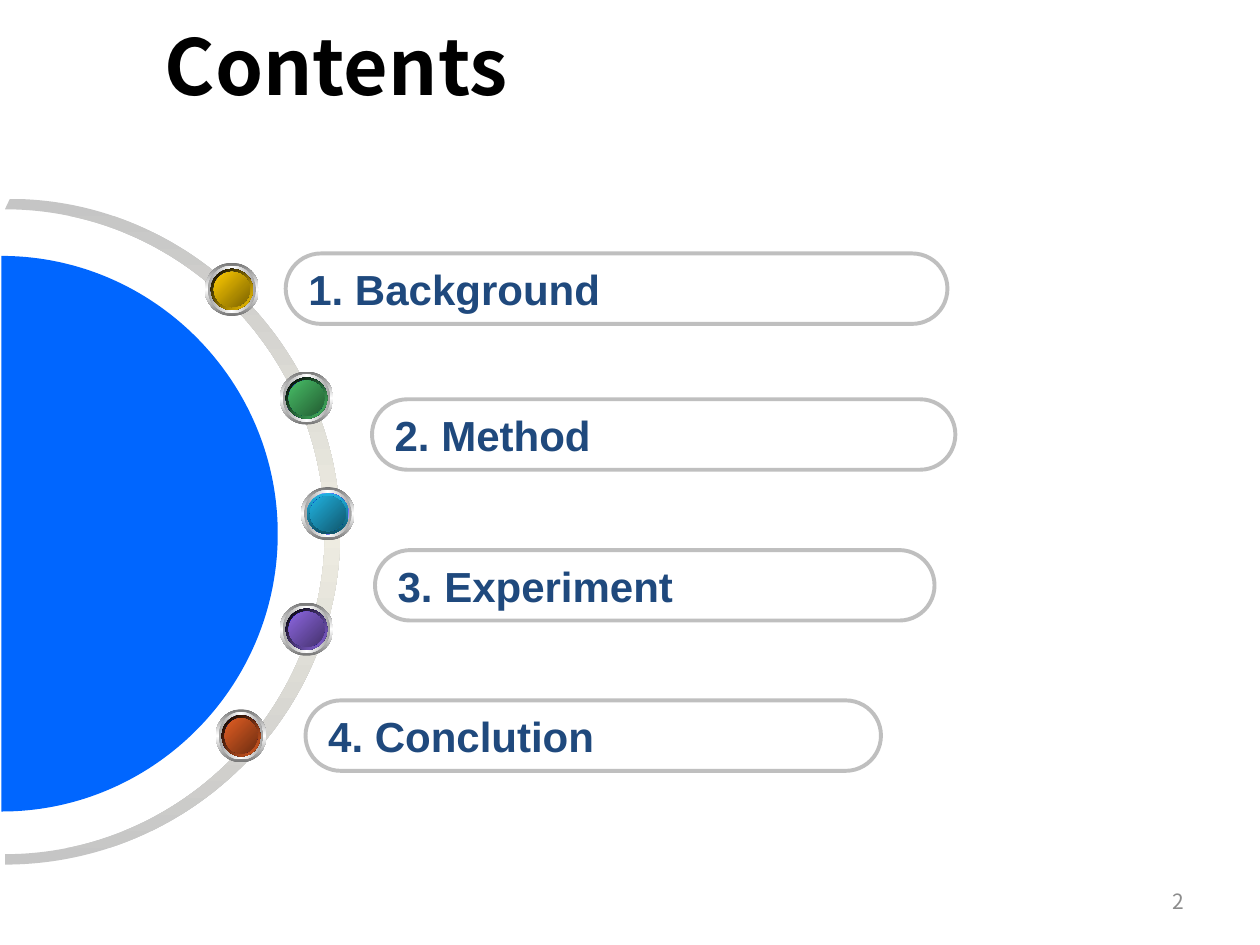
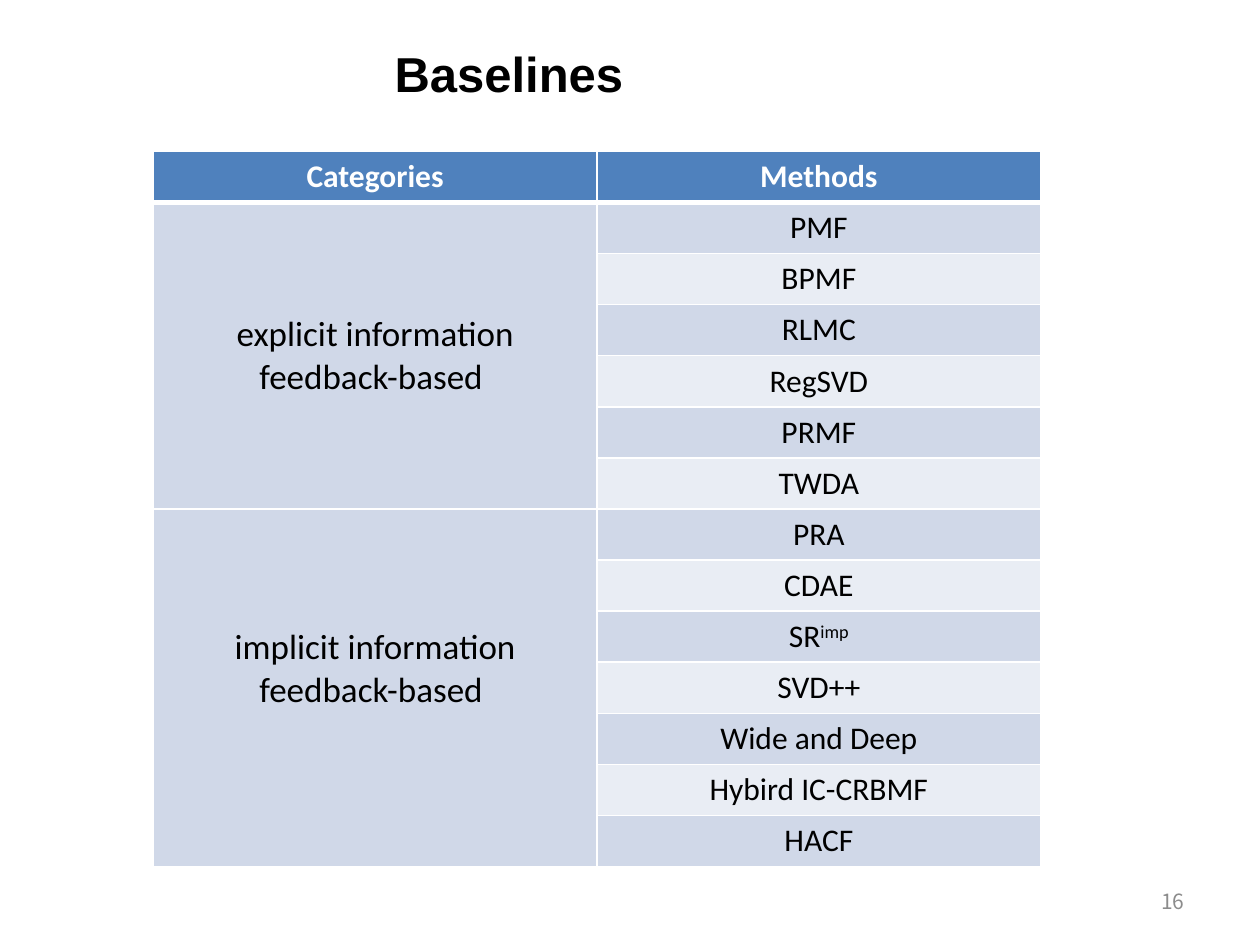
from lxml.etree import Element, SubElement
from pptx import Presentation
from pptx.dml.color import RGBColor
from pptx.enum.shapes import MSO_SHAPE as Kind
from pptx.enum.text import MSO_ANCHOR as Anchor, MSO_AUTO_SIZE as Fit, PP_ALIGN as Align
from pptx.oxml.ns import qn
from pptx.util import Cm, Pt

NOTO = "Noto Sans CJK SC"
BLACK, WHITE = "000000", "FFFFFF"
BLUE, NAVY, GREY = "0066FF", "1F497D", "BFBFBF"
HEAD, DARK, PALE = "4F81BD", "D0D8E8", "E9EDF4"
BEND = 0.55

MAIN = {"name": NOTO, "size": Pt(44), "bold": True, "color": BLACK}
SUB = {"name": "Arial", "size": Pt(28), "bold": True, "color": BLACK}
ITEM = {"name": "Arial", "size": Pt(24), "bold": True, "color": NAVY}
PAGE = {"name": NOTO, "size": Pt(12), "color": "8C8C8C"}
CELL = {"name": "Calibri", "size": Pt(18), "bold": False, "color": BLACK}
TOP = {**CELL, "bold": True, "color": WHITE}
GROUP = {**CELL, "size": Pt(20)}

BALLS = [
    (4.13, 5.3, 1.09, "FFCC00", "7C6300", (BLACK, "FFCC00"), 45),
    (5.64, 7.49, 1.08, "48BE67", "235C32", (BLACK, "48BE67"), 45),
    (6.07, 9.82, 1.08, "21B3E1", "10576D", ("21B3E1", "0F5368"), 90),
    (5.64, 12.15, 1.08, "8D67E1", "45326D", (BLACK, "8D67E1"), 45),
    (4.35, 14.3, 1.02, "E35E23", "6E2E11", (BLACK, "E35E23"), 45),
]
ITEMS = [
    ("1. Background", 5.76, 5.11, 13.34),
    ("2. Method", 7.5, 8.05, 11.76),
    ("3. Experiment", 7.56, 11.09, 11.28),
    ("4. Conclution", 6.16, 14.12, 11.6),
]
BASES = [
    ("explicit information feedback-based ", 0.13,
     ["PMF", "BPMF", "RLMC", "RegSVD", "PRMF", "TWDA"]),
    ("implicit information feedback-based ", 0.89,
     ["PRA", "CDAE", "SR^imp", "SVD++", "Wide and Deep", "Hybird IC-CRBMF", "HACF"]),
]


def paint(color, code):
    color.rgb = RGBColor.from_string(code)


def style(font, look):
    for key, val in look.items():
        if key == "color":
            paint(font.color, val)
        else:
            setattr(font, key, val)


def write(frame, text, look, align=Align.LEFT):
    para = frame.paragraphs[0]
    para.alignment = align
    base, _, power = text.partition("^")
    for part, lift in ((base, None), (power, "30000")):
        if part:
            run = para.add_run()
            run.text = part
            style(run.font, look)
            if lift:
                run.font._element.set("baseline", lift)


def setup(frame):
    form = {"word_wrap": True, "auto_size": Fit.NONE, "vertical_anchor": Anchor.MIDDLE}
    for key, val in form.items():
        setattr(frame, key, val)
    return frame


def place(shape, *box):
    for key, val in zip(("left", "top", "width", "height"), box):
        setattr(shape, key, Cm(val))


def start(deck, title, look, box, page):
    slide = deck.slides.add_slide(deck.slide_layouts[5])
    head = slide.shapes.title
    place(head, *box)
    write(setup(head.text_frame), title, look)
    foot = slide.shapes.add_textbox(*map(Cm, (18.21, 17.65, 5.92, 1.02)))
    write(setup(foot.text_frame), page, PAGE, Align.RIGHT)
    return slide


def clean(shape):
    shape.shadow.inherit = False
    shape.line.fill.background()


def blend(shape, codes, angle):
    shape.fill.gradient()
    grad = shape._element.spPr.find(qn("a:gradFill"))
    stops = grad.find(qn("a:gsLst"))
    for stop in list(stops):
        stops.remove(stop)
    for num, code in enumerate(codes):
        stop = SubElement(stops, qn("a:gs"), pos=str(100000 * num // (len(codes) - 1)))
        SubElement(stop, qn("a:srgbClr"), val=code)
    grad.find(qn("a:lin")).set("ang", str(angle * 60000))


def arc(x, y, wide, high, skip=0):
    bow, rise = wide * BEND, high * BEND
    return [(x + skip, y - high), (x + bow, y - high), (x + wide, y - rise), (x + wide, y),
            (x + wide, y + rise), (x + bow, y + high), (x, y + high)]


def outline(slide, points, marks):
    spots = [(Cm(x), Cm(y)) for x, y in points]
    pen = slide.shapes.build_freeform(*spots[0])
    pen.add_line_segments(spots[1:], close=True)
    shape = pen.convert_to_shape()
    steps = iter(list(shape._element.spPr.iter(qn("a:lnTo"))))
    for mark in marks:
        step = next(steps)
        if mark == "C":
            curve = Element(qn("a:cubicBezTo"))
            step.addprevious(curve)
            for knot in (step, next(steps), next(steps)):
                curve.append(knot[0])
                knot.getparent().remove(knot)
    clean(shape)
    return shape


def dial(slide):
    inner = arc(0.1, 10.72, 6.45, 6.5)[::-1]
    ring = outline(slide, arc(0.1, 10.72, 6.76, 6.71, 0.1) + inner, "CCLCC")
    blend(ring, ("C5C5C5", "EEECE1", "C5C5C5"), 90)
    disc = outline(slide, arc(0.03, 10.76, 5.57, 5.6), "CC")
    disc.fill.solid()
    paint(disc.fill.fore_color, BLUE)


def ball(slide, x, y, wide, light, shade, rim, tilt):
    layers = [
        (0, ("767676", WHITE, "767676"), 90),
        (0.06, ("A2A2A2", WHITE, "A2A2A2"), 0),
        (0.12, (WHITE, "0000FF", WHITE), 45),
        (0.12, rim, tilt),
        (0.18, ("005353", "0000FF", "005353"), 315),
        (0.18, (light, shade), 45),
    ]
    for gap, codes, angle in layers:
        box = (x + gap, y + gap, wide - 2 * gap, 1.07 - 2 * gap)
        shape = slide.shapes.add_shape(Kind.OVAL, *map(Cm, box))
        clean(shape)
        blend(shape, codes, angle)


def pill(slide, text, x, y, wide):
    shape = slide.shapes.add_shape(Kind.ROUNDED_RECTANGLE, *map(Cm, (x, y, wide, 1.42)))
    shape.adjustments[0] = 0.5
    shape.shadow.inherit = False
    shape.fill.background()
    paint(shape.line.color, GREY)
    shape.line.width = Pt(2.25)
    write(setup(shape.text_frame), text, ITEM)


def edge(cell, **sides):
    props = cell._tc.get_or_add_tcPr()
    for side in "LRTB":
        line = SubElement(props, qn(f"a:ln{side}"), w=str(Pt(sides.get(side, 1))))
        SubElement(SubElement(line, qn("a:solidFill")), qn("a:srgbClr"), val=WHITE)


def fill(cell, text, look, code, **sides):
    edge(cell, **sides)
    cell.vertical_anchor = Anchor.MIDDLE
    cell.fill.solid()
    paint(cell.fill.fore_color, code)
    write(cell.text_frame, text, look, Align.CENTER)


def grid(slide):
    count = 1 + sum(len(names) for *_, names in BASES)
    box = map(Cm, (3.09, 3.05, 17.89, 14.22))
    table = slide.shapes.add_table(count, 2, *box).table
    for col, text in enumerate(("Categories", "Methods")):
        fill(table.cell(0, col), text, TOP, HEAD, B=3)
    row = 1
    for label, foot, names in BASES:
        top = 3 if row == 1 else 1
        first = table.cell(row, 0)
        first.merge(table.cell(row + len(names) - 1, 0))
        fill(first, label, GROUP, DARK, T=top)
        first.margin_bottom = Cm(foot)
        for name in names:
            fill(table.cell(row, 1), name, CELL, DARK if row % 2 else PALE,
                 T=3 if row == 1 else 1)
            row += 1


def main():
    deck = Presentation()
    deck.slide_width, deck.slide_height = Cm(25.4), Cm(19.05)
    slide = start(deck, "Contents", MAIN, (3.07, 0.24, 15.6, 2.11), "2")
    dial(slide)
    for spec in BALLS:
        ball(slide, *spec)
    for item in ITEMS:
        pill(slide, *item)
    slide = start(deck, "Baselines", SUB, (7.7, 0.66, 16.79, 1.63), "16")
    grid(slide)
    deck.save("out.pptx")


if __name__ == "__main__":
    main()
